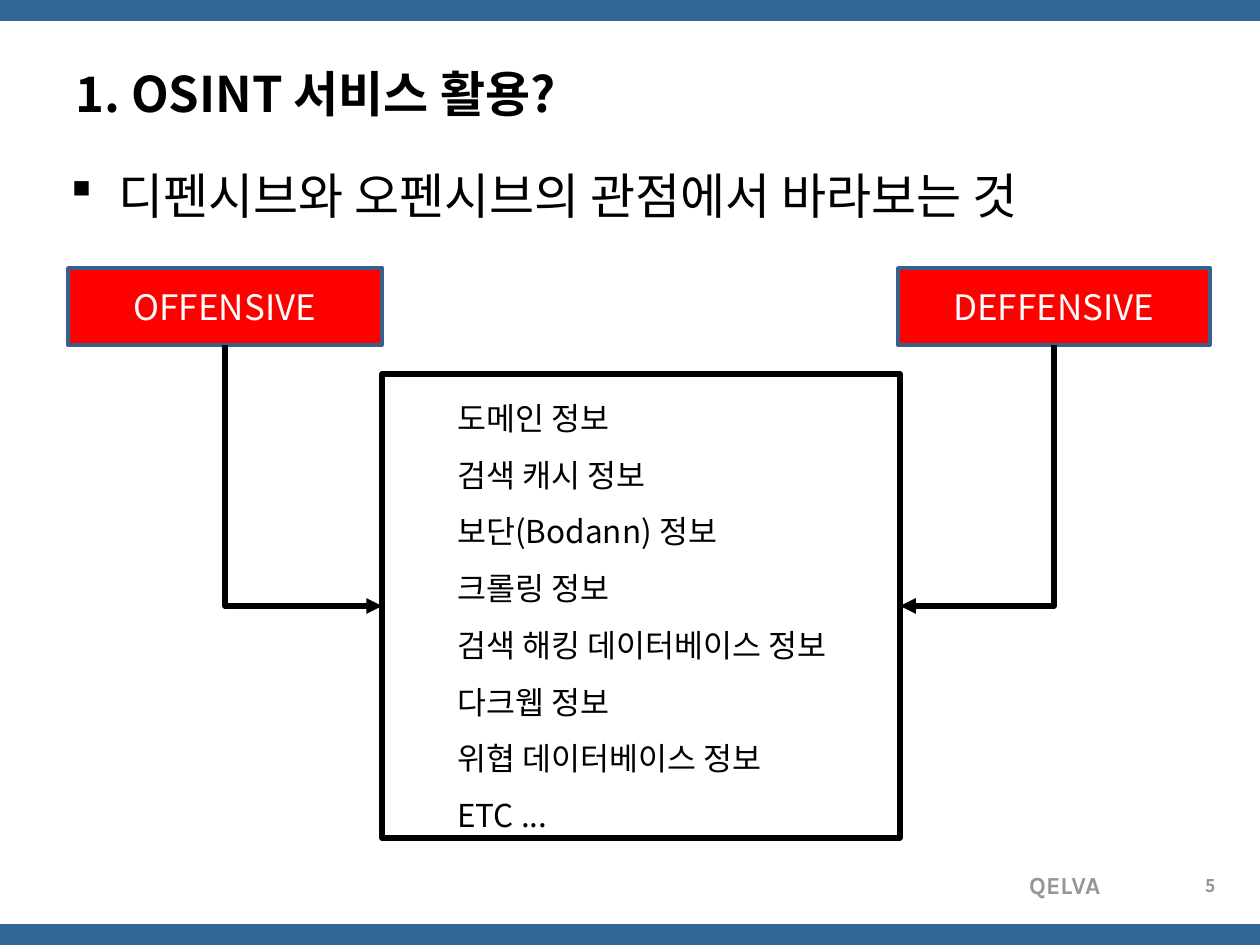
from typing import NamedTuple

from lxml import etree
from pptx import Presentation
from pptx import util as u
from pptx.dml.color import RGBColor
from pptx.enum import shapes, text
from pptx.oxml import ns

SCALE = 914400 / 126
BLUE = RGBColor(0x33, 0x66, 0x99)
EDGE = RGBColor(0x3A, 0x5F, 0x8C)
RED = RGBColor(0xFF, 0, 0)
BLACK = RGBColor(0, 0, 0)
WHITE = RGBColor(0xFF, 0xFF, 0xFF)
GRAY = RGBColor(0x96, 0x96, 0x96)
SANS = "Noto Sans CJK KR"
LEFT, MID, RIGHT = text.PP_ALIGN.LEFT, text.PP_ALIGN.CENTER, text.PP_ALIGN.RIGHT


class Area(NamedTuple):
    x: int
    y: int
    w: int
    h: int


class Style(NamedTuple):
    size: int
    color: RGBColor
    bold: bool = False
    align: text.PP_ALIGN = LEFT
    font: str = SANS


class Label(NamedTuple):
    words: str
    area: Area
    style: Style
    anchor: text.MSO_ANCHOR = text.MSO_ANCHOR.TOP


class Side(NamedTuple):
    name: str
    area: Area
    site: int
    turn: int
    flip: bool


def px(n: float) -> int:
    return round(n * SCALE)


def add(parent, tag: str, **attrs: str):
    return etree.SubElement(parent, ns.qn(tag), **attrs)


def write(shape, words: str, style: Style, anchor=text.MSO_ANCHOR.TOP) -> None:
    frame = shape.text_frame
    frame.word_wrap = True
    frame.vertical_anchor = anchor
    frame.text = words
    for para in frame.paragraphs:
        para.alignment = style.align
        for run in para.runs:
            font = run.font
            font.name, font.size, font.bold = style.font, u.Pt(style.size), style.bold
            font.color.rgb = style.color
            run._r.get_or_add_rPr().find(ns.qn("a:latin")).addnext(
                etree.Element(ns.qn("a:ea"), typeface=style.font))


def label(slide, item: Label):
    box = slide.shapes.add_textbox(*map(px, item.area))
    write(box, item.words, item.style, item.anchor)
    return box


def rect(slide, area: Area, fill=None, line=None, width: int = 0):
    shape = slide.shapes.add_shape(shapes.MSO_SHAPE.RECTANGLE, *map(px, area))
    shape.shadow.inherit = False
    if fill is None:
        shape.fill.background()
    else:
        shape.fill.solid()
        shape.fill.fore_color.rgb = fill
    if line is None:
        shape.line.fill.background()
    else:
        shape.line.color.rgb = line
        shape.line.width = u.Pt(width)
    return shape


def link(slide, start, end, side: Side) -> None:
    """Run one bend from the bottom of start to a side of end."""
    line = slide.shapes.add_connector(shapes.MSO_CONNECTOR.ELBOW, 0, 0, 0, 0)
    line.begin_connect(start, 2)
    line.end_connect(end, side.site)
    x, y, w, h = line.left, line.top, line.width, line.height
    # A turned connector keeps its centre and swaps its width and height
    line.left, line.top = x + (w - h) // 2, y + (h - w) // 2
    line.width, line.height = h, w
    props = line._element.spPr
    props.find(ns.qn("a:prstGeom")).set("prst", "bentConnector2")
    form = props.find(ns.qn("a:xfrm"))
    form.set("rot", str(side.turn * 60000))
    form.set("flipH", str(int(side.flip)))
    form.set("flipV", "0")
    line.line.color.rgb = BLACK
    line.line.width = u.Pt(3)
    add(props.find(ns.qn("a:ln")), "a:tailEnd", type="triangle")
    add(props, "a:effectLst")


BARS = [Area(0, 0, 1260, 21), Area(0, 924, 1260, 21)]
LABELS = [
    Label("QELVA", Area(784, 864, 329, 42), Style(14, GRAY, True, RIGHT, "Karla")),
    Label("1. OSINT 서비스 활용?", Area(63, 38, 1134, 110),
          Style(28, BLACK, True), text.MSO_ANCHOR.MIDDLE),
    Label("5", Area(1183, 869, 55, 32), Style(10, GRAY, True, MID)),
]
POINT = Label("디펜시브와 오펜시브의 관점에서 바라보는 것",
              Area(58, 159, 1134, 698), Style(28, BLACK))
SIDES = [
    Side("OFFENSIVE", Area(68, 268, 314, 77), 1, 270, True),
    Side("DEFFENSIVE", Area(898, 268, 312, 77), 3, 90, False),
]
TOPICS = [
    "도메인 정보", "검색 캐시 정보", "보단(Bodann) 정보", "크롤링 정보",
    "검색 해킹 데이터베이스 정보", "다크웹 정보", "위협 데이터베이스 정보", "ETC ...",
]


def main() -> None:
    deck = Presentation()
    deck.slide_width, deck.slide_height = px(1260), px(945)
    slide = deck.slides.add_slide(deck.slide_layouts[6])

    # Bars, title and footer
    for bar in BARS:
        rect(slide, bar, BLUE)
    for item in LABELS:
        label(slide, item)

    # Bulleted point; this Wingdings letter is a small square
    point = label(slide, POINT).text_frame.paragraphs[0]
    props = point._p.get_or_add_pPr()
    props.set("marL", str(px(48)))
    props.set("indent", str(-px(48)))
    add(props, "a:buFont", typeface="Wingdings", charset="2")
    add(props, "a:buChar", char="§")

    # Shared topics
    hub = rect(slide, Area(382, 374, 518, 464), None, BLACK, 3)
    write(hub, "\n".join(TOPICS), Style(18, BLACK))
    for para in hub.text_frame.paragraphs:
        para.line_spacing = 1.5
        para.level = 1
        props = para._p.get_or_add_pPr()
        props.set("marL", str(px(63)))
        props.set("indent", "0")

    # Both views lead to the topics
    for side in SIDES:
        head = rect(slide, side.area, RED, EDGE, 2)
        write(head, side.name, Style(20, WHITE, align=MID), text.MSO_ANCHOR.MIDDLE)
        link(slide, head, hub, side)

    deck.save("out.pptx")


if __name__ == "__main__":
    main()
